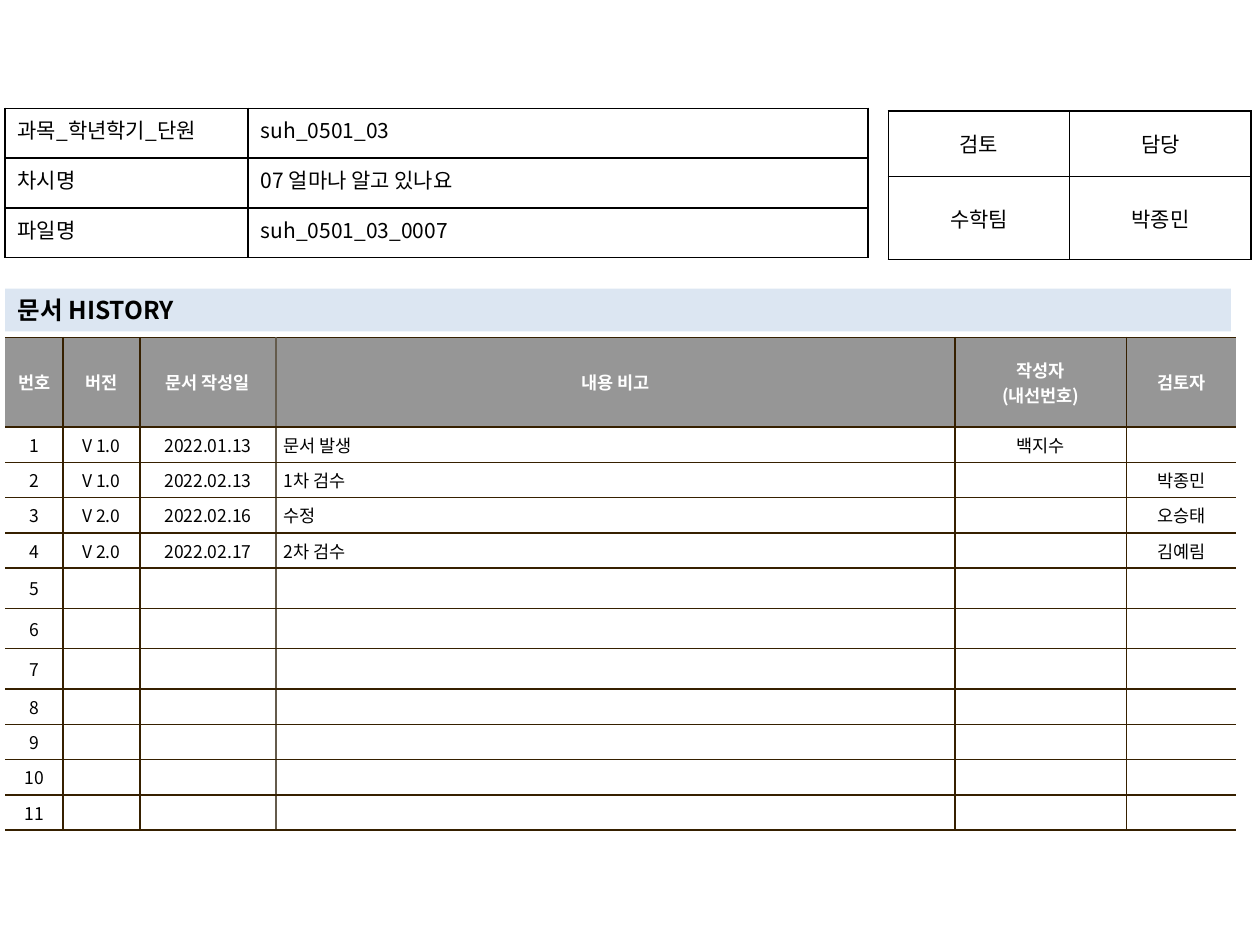
import lxml.etree
import pptx
import pptx.dml.color
import pptx.enum.text
import pptx.oxml.ns
import pptx.util

Inches = pptx.util.Inches
qn = pptx.oxml.ns.qn
LEFT, CENTER, JUSTIFY = (getattr(pptx.enum.text.PP_ALIGN, n) for n in ("LEFT", "CENTER", "JUSTIFY"))
TOP, MIDDLE = pptx.enum.text.MSO_ANCHOR.TOP, pptx.enum.text.MSO_ANCHOR.MIDDLE


def rgb(value):
    """Return the colour for a hex string."""
    return pptx.dml.color.RGBColor.from_string(value)


def put(obj, values):
    """Set each attribute named in a dict of format values."""
    for name, value in values.items():
        setattr(obj, name, value)


class Sheet:
    """Hold the document style and the current slide."""

    FONT = "Noto Sans CJK KR"
    NO_STYLE = "{2D5ABB26-0587-4C30-8999-92F81FD0307C}"

    def __init__(self, s):
        """Keep the slide to draw on."""
        self.s = s

    def text(self, tf, words, align, size, color="000000", bold=False):
        """Fill a text frame, one paragraph a line."""
        tf.text = words
        for p in tf.paragraphs:
            p.alignment = align
            if not p.runs:
                lxml.etree.SubElement(p._p, qn("a:endParaRPr"), sz=str(size * 100))
            for r in p.runs:
                put(r.font, {"name": self.FONT, "size": pptx.util.Pt(size), "bold": bold})
                r.font.color.rgb = rgb(color)
                ea = lxml.etree.SubElement(r.font._element, qn("a:ea"))
                ea.set("typeface", self.FONT)

    def heading(self, box, words, fill):
        """Place the title as a filled heading bar."""
        sp = self.s.shapes.title
        put(sp, dict(zip(("left", "top", "width", "height"), map(Inches, box))))
        sp.fill.solid()
        sp.fill.fore_color.rgb = rgb(fill)
        put(sp.text_frame, {
            "vertical_anchor": MIDDLE, "word_wrap": True,
            "auto_size": pptx.enum.text.MSO_AUTO_SIZE.NONE,
            "margin_top": Inches(0), "margin_bottom": Inches(0),
        })
        self.text(sp.text_frame, words, LEFT, 14, bold=True)

    def border(self, cell, side, color):
        """Draw one side of a cell as a one point line."""
        ln = lxml.etree.SubElement(cell._tc.get_or_add_tcPr(), qn("a:ln" + side), w="12700")
        fill = lxml.etree.SubElement(ln, qn("a:solidFill"))
        lxml.etree.SubElement(fill, qn("a:srgbClr"), val=color)

    def table(self, at, cols, heights, rows, aligns, edges, line, size,
              anchor=MIDDLE, margins=(0.1, 0.05), fill=None, head=None):
        """Add a ruled table; edges are the colours of its vertical lines."""
        frame = self.s.shapes.add_table(
            len(rows), len(cols), *map(Inches, (*at, sum(cols), sum(heights))))
        tbl = frame.table
        put(tbl, {"first_row": False, "horz_banding": False})
        tbl._tbl.tblPr.find(qn("a:tableStyleId")).text = self.NO_STYLE
        for col, width in zip(tbl.columns, cols):
            col.width = Inches(width)
        mx, my = map(Inches, margins)
        for i, (words, height) in enumerate(zip(rows, heights)):
            tbl.rows[i].height = Inches(height)
            top = head if i == 0 and head else None
            for j, word in enumerate(words):
                cell = tbl.cell(i, j)
                put(cell, {"vertical_anchor": anchor, "margin_left": mx, "margin_right": mx,
                           "margin_top": my, "margin_bottom": my})
                for side, color in zip("LRTB", (edges[j], edges[j + 1], line, line)):
                    if color:
                        self.border(cell, side, color)
                shade = top or fill
                if shade:
                    cell.fill.solid()
                    cell.fill.fore_color.rgb = rgb(shade)
                else:
                    cell.fill.background()
                self.text(cell.text_frame, word, CENTER if top else aligns[j], size,
                          "FFFFFF" if top else "000000", bool(top))


def main():
    """Build the document history slide."""
    prs = pptx.Presentation()
    put(prs, {"slide_width": Inches(10), "slide_height": Inches(7.5)})
    sheet = Sheet(prs.slides.add_slide(prs.slide_layouts[5]))

    black, brown, taupe = "000000", "362000", "645B4C"
    info = [
        ("과목_학년학기_단원", "suh_0501_03"),
        ("차시명", "07 얼마나 알고 있나요"),
        ("파일명", "suh_0501_03_0007"),
    ]
    sheet.table((0.04, 0.86), (1.93, 4.92), [0.395] * 3, info, (JUSTIFY, LEFT),
                [black] * 3, black, 12, anchor=TOP)

    approval = [("검토", "담당"), ("수학팀", "박종민")]
    sheet.table((7.05, 0.88), (1.44, 1.44), (0.52, 0.66), approval, (CENTER, CENTER),
                [black] * 3, black, 12)

    sheet.heading((0.04, 2.29, 9.73, 0.34), "문서 HISTORY", "DCE6F2")

    entries = [
        ("V 1.0", "2022.01.13", "문서 발생", "백지수", ""),
        ("V 1.0", "2022.02.13", "1차 검수", "", "박종민"),
        ("V 2.0", "2022.02.16", "수정", "", "오승태"),
        ("V 2.0", "2022.02.17", "2차 검수", "", "김예림"),
    ] + [("",) * 5] * 7
    history = [("번호", "버전", "문서 작성일", "내용 비고", "작성자\n(내선번호)", "검토자")]
    history += [(str(n), *entry) for n, entry in enumerate(entries, 1)]
    sheet.table((0.04, 2.68), (0.46, 0.61, 1.08, 5.39, 1.36, 0.87),
                [0.71] + [0.28] * 4 + [0.32] * 3 + [0.28] * 4, history,
                (CENTER, CENTER, CENTER, LEFT, CENTER, CENTER),
                (None, brown, brown, taupe, brown, brown, None), brown, 10,
                margins=(0.06, 0.04), fill="FFFFFF", head="969696")
    prs.save("out.pptx")


if __name__ == "__main__":
    main()
